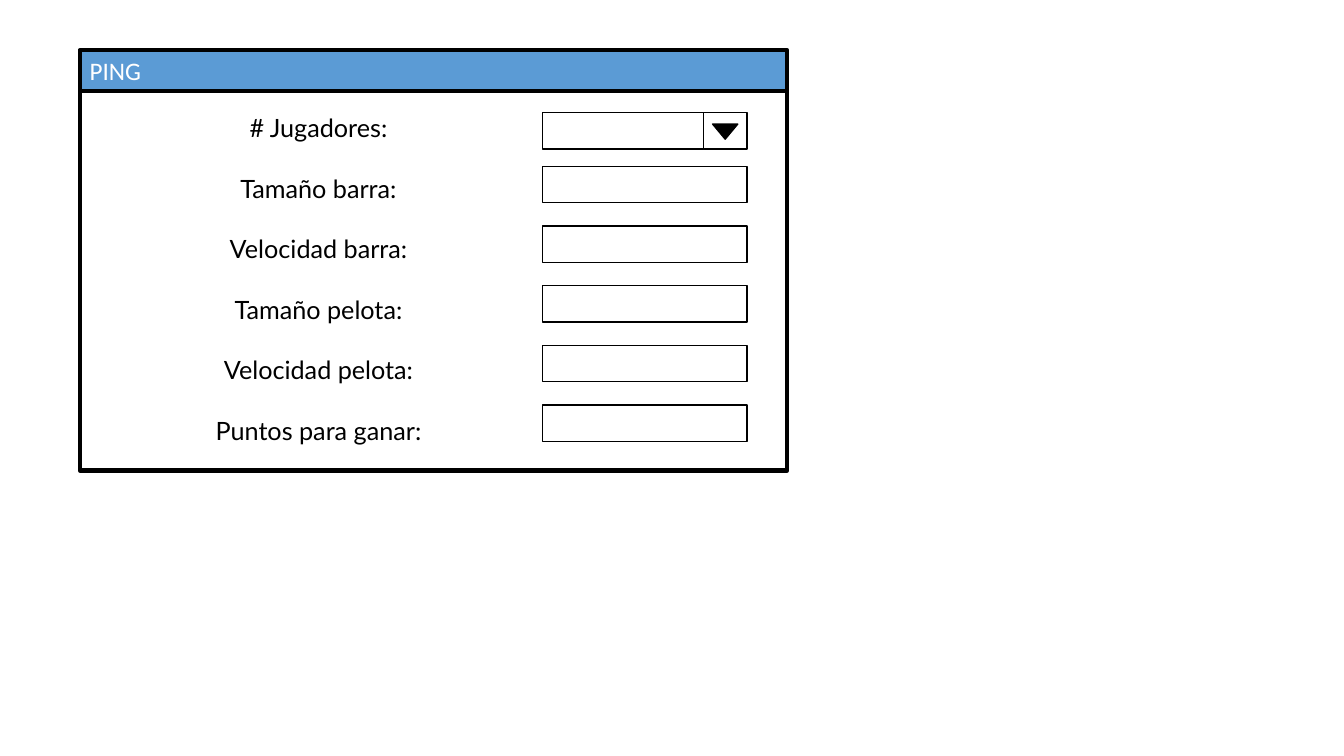
from pptx import Presentation
from pptx.dml.color import RGBColor
from pptx.enum.shapes import MSO_SHAPE
from pptx.enum.text import MSO_ANCHOR, PP_ALIGN
from pptx.util import Pt

TITLE = "PING"
LABELS = [
    "# Jugadores:",
    "Tamaño barra:",
    "Velocidad barra:",
    "Tamaño pelota:",
    "Velocidad pelota:",
    "Puntos para ganar:",
]

BLACK = RGBColor(0, 0, 0)
WHITE = RGBColor(255, 255, 255)
BLUE = RGBColor(0x5B, 0x9B, 0xD5)

LEFT, TOP, WIDE = 56.9, 36, 505.4
BAR, BODY = 28.8, 271.4
FIELD, SPAN, HIGH = 387.4, 146.2, 25.9
COMBO, ARROW = 80.6, 31
FIRST, STEP = 118.8, 42.66

deck = Presentation()
deck.slide_width, deck.slide_height = Pt(960), Pt(540)
slide = deck.slides.add_slide(deck.slide_layouts[6])


def draw(x, y, w, h, fill=WHITE, line=1, kind=MSO_SHAPE.RECTANGLE):
    shape = slide.shapes.add_shape(kind, Pt(x), Pt(y), Pt(w), Pt(h))
    shape.shadow.inherit = False
    shape.fill.solid()
    shape.fill.fore_color.rgb = fill
    shape.line.color.rgb = BLACK
    shape.line.width = Pt(line)
    return shape


def style(par, text, font, color, align):
    par.text = text
    par.alignment = align
    face = par.runs[0].font
    face.name, face.size = font, Pt(18)
    face.color.rgb = color


title = draw(LEFT, TOP, WIDE, BAR, BLUE, 3)
title.text_frame.vertical_anchor = MSO_ANCHOR.MIDDLE
style(title.text_frame.paragraphs[0], TITLE, "Calibri", WHITE, PP_ALIGN.LEFT)
draw(LEFT, TOP + BAR, WIDE, BODY, line=3)

box = slide.shapes.add_textbox(Pt(67.7), Pt(77), Pt(319.7), Pt(247))
frame = box.text_frame
frame.word_wrap = True
for row, label in enumerate(LABELS):
    par = frame.add_paragraph() if row else frame.paragraphs[0]
    style(par, label, "Lato", BLACK, PP_ALIGN.CENTER)
    par.space_before = Pt(21.6 if row else 0)

draw(FIELD, COMBO, SPAN - ARROW, HIGH)
draw(FIELD + SPAN - ARROW, COMBO, ARROW, HIGH)
mark = draw(509, 88.6, 18, 10.8, BLACK, kind=MSO_SHAPE.ISOSCELES_TRIANGLE)
mark.rotation = 180

for row in range(len(LABELS) - 1):
    draw(FIELD, FIRST + row * STEP, SPAN, HIGH)

deck.save("out.pptx")
